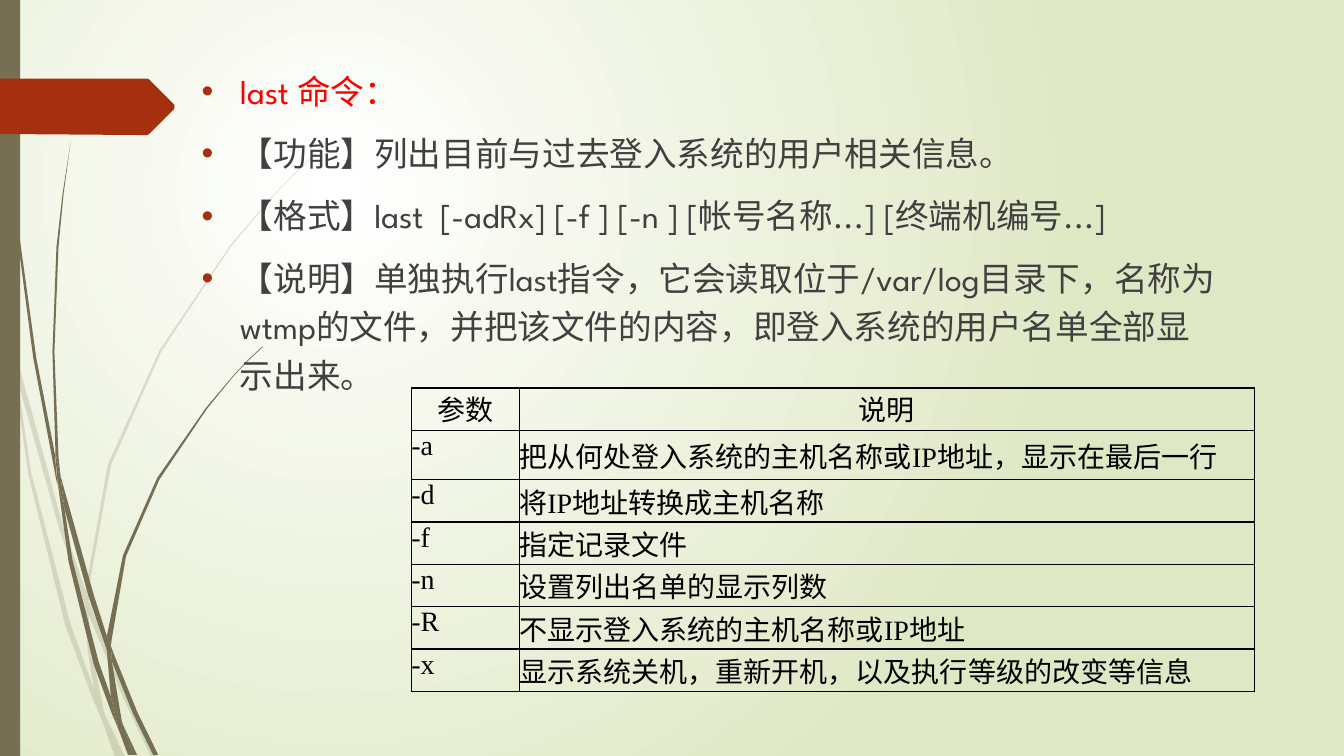
import pptx
import pptx.util
import pptx.dml.color
import pptx.enum.text
import pptx.oxml
import pptx.oxml.ns
import lxml.etree

Inches = pptx.util.Inches
Pt = pptx.util.Pt
qn = pptx.oxml.ns.qn
COLORS = {"olive": "766F54", "rust": "A53010", "red": "FF0000", "gray": "404040",
          "black": "000000", "edge": "080000", "white": "FFFFFF", "lime": "DFE8C4"}
FONTS = {"body": "League Spartan", "han": "Noto Sans CJK SC", "code": "Times New Roman"}

PALE = [
    "11 350 9 322 0 282 0 299 10 344",
    "58 522 84 599 85 586 62 520 14 345 17 376",
    "92 607 88 596 88 610 123 694 150 751 155 751 127 692",
    "119 751 124 751 105 711",
    "93 683 70 619 31 469 17 376 11 350 28 470 65 621 92 693 101 714 99 707",
    "84 599 87 646 93 683 96 692 105 711 103 706 91 646 88 610 88 608",
    "88 584 110 462 160 349 229 245 268 198 290 175 312 154 312 153 289 175 268 197 "
    "228 244 158 348 107 461 85 584 85 586 88 596",
    "101 714 114 751 119 751",
    "88 608 88 610 88 596 85 586 84 599",
    "96 692 93 683 99 707 101 714 119 751 105 711",
]
DARK = [
    "7 110 17 233 33 355 56 477 57 481 55 457 55 453 36 355 19 232 8 109 5 48 4 0 3 0 4 48",
    "88 592 106 645 106 633 106 631 93 590 60 472 64 505",
    "113 649 110 641 111 656 132 708 152 749 157 749 136 706",
    "110 691 98 657 72 556 64 505 57 477 68 557 93 659 111 708 117 722 116 717",
    "60 472 58 453 54 349 58 245 63 193 70 141 62 193 56 245 52 349 55 449",
    "133 749 136 749 122 719",
    "57 477 64 505 60 472 55 449 55 453",
    "111 633 125 552 158 476 205 406 231 374 245 359 261 344 260 344 245 358 231 373 "
    "204 405 156 474 122 551 106 631 110 641",
    "117 722 127 749 131 749",
    "106 645 110 691 116 706 122 719 121 716 111 656 109 651",
    "106 645 109 651 111 656 110 641 106 631 106 633",
    "116 706 110 691 116 717 117 722 130 749 133 749 122 719",
]
ARROW = "173 108 148 133 146 134 136 134 0 133 0 78 136 78 146 78 148 79 173 104"

NOTES = [
    ("last 命令：", "red"),
    ("【功能】列出目前与过去登入系统的用户相关信息。", "gray"),
    ("【格式】last  [-adRx] [-f ] [-n ] [帐号名称...] [终端机编号...]", "gray"),
    ("【说明】单独执行last指令，它会读取位于/var/log目录下，名称为wtmp的文件，"
     "并把该文件的内容，即登入系统的用户名单全部显示出来。", "gray"),
]
FLAGS = [
    ("参数", ["说明"]),
    ("-a", ["把从何处登入系统的主机名称或", "IP", "地址，显示在最后一行"]),
    ("-d", ["将", "IP", "地址转换成主机名称"]),
    ("-f", ["指定记录文件"]),
    ("-n", ["设置列出名单的显示列数"]),
    ("-R", ["不显示登入系统的主机名称或", "IP", "地址"]),
    ("-x", ["显示系统关机，重新开机，以及执行等级的改变等信息"]),
]


class Deck:
    """Holds the style and the current slide, and draws each kind of element."""

    def __init__(self):
        self.prs = pptx.Presentation()
        self.prs.slide_width = Inches(13.33)
        self.prs.slide_height = Inches(7.5)
        self.slide = self.prs.slides.add_slide(self.prs.slide_layouts[1])
        title = self.slide.shapes.title
        title.element.getparent().remove(title.element)

    def color(self, name):
        return pptx.dml.color.RGBColor.from_string(COLORS[name])

    def node(self, parent, tag, **attrs):
        return lxml.etree.SubElement(parent, qn(tag), attrs)

    def backdrop(self, inner, outer):
        fill = self.slide.background.fill
        fill.gradient()
        for stop, name, spot in zip(fill.gradient_stops, (inner, outer), (0, 1)):
            stop.color.rgb = self.color(name)
            stop.position = spot
        line = next(self.slide.element.iter(qn("a:lin")))
        grad = line.getparent()
        grad.remove(line)
        ring = self.node(grad, "a:path", path="circle")
        self.node(ring, "a:fillToRect", l="50000", t="50000", r="100000", b="100000")

    def paint(self, shape, name, alpha=None):
        shape.shadow.inherit = False
        shape.line.fill.background()
        shape.fill.solid()
        shape.fill.fore_color.rgb = self.color(name)
        if alpha:
            tint = next(shape.element.spPr.iter(qn("a:srgbClr")))
            self.node(tint, "a:alpha", val=str(alpha * 1000))

    def outline(self, data, name, alpha=None):
        nums = [int(n) for n in data.split()]
        dots = list(zip(nums[::2], nums[1::2]))
        pen = self.slide.shapes.build_freeform(*dots[0], scale=Inches(0.01))
        pen.add_line_segments(dots[1:], close=True)
        self.paint(pen.convert_to_shape(), name, alpha)

    def bar(self, x, y, w, h, name):
        kind = pptx.enum.shapes.MSO_SHAPE.RECTANGLE
        box = self.slide.shapes.add_shape(kind, Inches(x), Inches(y), Inches(w), Inches(h))
        self.paint(box, name)

    def run(self, para, text, font, size, name):
        run = para.add_run()
        run.text = text
        run.font.name = FONTS[font]
        run.font.size = Pt(size)
        run.font.color.rgb = self.color(name)
        self.node(run.font._element, "a:ea", typeface=FONTS["han"])

    def bullets(self, x, y, w, h, items):
        body = self.slide.placeholders[1]
        body.left, body.top = Inches(x), Inches(y)
        body.width, body.height = Inches(w), Inches(h)
        frame = body.text_frame
        frame.auto_size = pptx.enum.text.MSO_AUTO_SIZE.NONE
        for i, (text, name) in enumerate(items):
            para = frame.add_paragraph() if i else frame.paragraphs[0]
            para.line_spacing = 1.2
            para.space_before = Pt(10)
            props = para._p.get_or_add_pPr()
            props.set("marL", str(Inches(0.38)))
            props.set("indent", str(-Inches(0.38)))
            tint = self.node(props, "a:buClr")
            self.node(tint, "a:srgbClr", val=COLORS["rust"])
            self.node(props, "a:buFont", typeface="Arial")
            self.node(props, "a:buChar", char="•")
            self.run(para, text, "body", 24, name)

    def border(self, cell, side, name, width):
        line = self.node(cell._tc.get_or_add_tcPr(), "a:ln" + side, w=str(Pt(width)))
        self.node(self.node(line, "a:solidFill"), "a:srgbClr", val=COLORS[name])

    def cell(self, cell, texts, head, last):
        cell.margin_left = cell.margin_right = cell.margin_top = cell.margin_bottom = 0
        anchor = pptx.enum.text.MSO_ANCHOR
        cell.vertical_anchor = anchor.MIDDLE if last and not head else anchor.TOP
        for side in "LRTB":
            thin = last and side == "R"
            self.border(cell, side, "black" if thin else "edge", 0.75 if thin else 1)
        cell.fill.background()
        para = cell.text_frame.paragraphs[0]
        align = pptx.enum.text.PP_ALIGN
        para.alignment = align.CENTER if head else align.LEFT
        for text in texts:
            self.run(para, text, "code" if text.isascii() else "han", 20, "black")

    def table(self, x, y, cols, rows, data):
        grid = self.slide.shapes.add_table(len(rows), len(cols), Inches(x), Inches(y),
                                           Inches(sum(cols)), Inches(sum(rows))).table
        grid.first_row = grid.horz_banding = False
        for col, width in zip(grid.columns, cols):
            col.width = Inches(width)
        for i, (flag, texts) in enumerate(data):
            grid.rows[i].height = Inches(rows[i])
            self.cell(grid.cell(i, 0), [flag], i == 0, False)
            self.cell(grid.cell(i, 1), texts, i == 0, True)


def main():
    deck = Deck()
    deck.backdrop("white", "lime")
    for wisp in PALE:
        deck.outline(wisp, "olive", 20)
    for wisp in DARK:
        deck.outline(wisp, "olive")
    deck.bar(0, 0, 0.2, 7.5, "olive")
    deck.outline(ARROW, "rust")
    body = deck.slide.placeholders[1].element
    body.getparent().append(body)
    deck.bullets(1.9, 0.57, 10.31, 4.68, NOTES)
    deck.table(4.08, 3.85, [1.07, 7.29], [0.42, 0.49] + [0.42] * 5, FLAGS)
    deck.prs.save("out.pptx")


if __name__ == "__main__":
    main()
